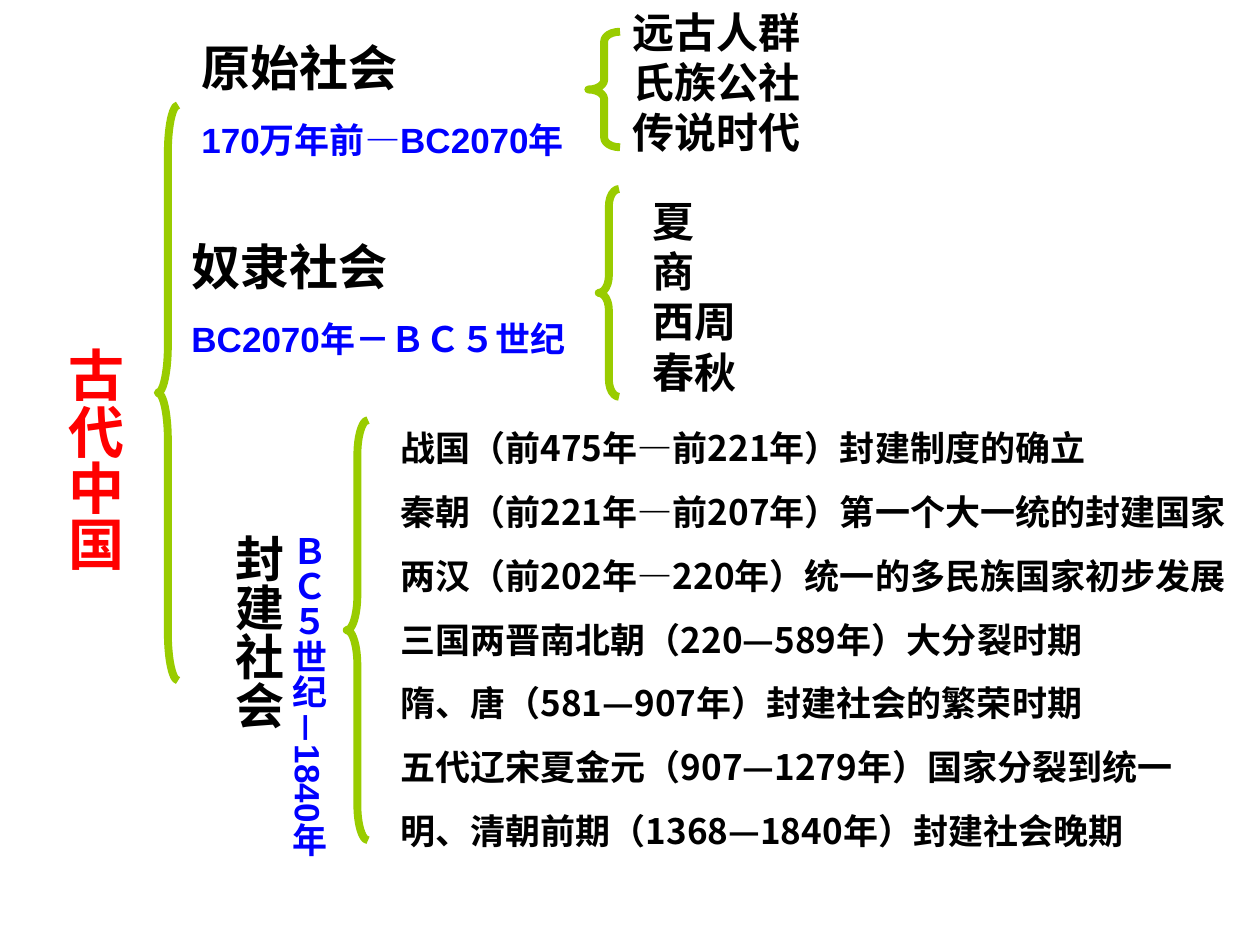
from pptx import Presentation
from pptx.dml.color import RGBColor
from pptx.enum import shapes, text
from pptx.oxml import ns
from pptx.util import Cm, Pt
from lxml import etree

HUES = {"ink": "000000", "date": "0000FF", "root": "FF0000", "brace": "99CC00"}
HEI = "Noto Sans CJK SC"
LATIN = "Arial"

deck = Presentation()
deck.slide_width, deck.slide_height = Cm(25.4), Cm(19.05)
slide = deck.slides.add_slide(deck.slide_layouts[6])


def write(frame, line, first=False, size=20, font=HEI, hue="ink", gap=0):
    """Add one bold paragraph; gap is the space before it in points."""
    par = frame.paragraphs[0] if first else frame.add_paragraph()
    par.space_before = Pt(0 if first else gap)
    run = par.add_run()
    run.text = line
    run.font.size, run.font.bold, run.font.name = Pt(size), True, font
    run.font.color.rgb = RGBColor.from_string(HUES[hue])
    east = etree.SubElement(run._r.get_or_add_rPr(), ns.qn("a:ea"))
    east.set("typeface", HEI)


def add_box(left, top, width, height, drop=None):
    """Add a text box; drop is the top inset that makes its text vertical."""
    box = slide.shapes.add_textbox(Cm(left), Cm(top), Cm(width), Cm(height))
    frame = box.text_frame
    frame.word_wrap = True
    if drop is not None:
        frame._txBody.bodyPr.set("vert", "eaVert")
        frame.margin_left = frame.margin_right = Cm(0.13)
        frame.margin_top, frame.margin_bottom = Cm(drop), Cm(0.25)
    return frame


# Early societies with their dates
eras = [
    (3.81, 0.64, 8.46, "原始社会", "170万年前—BC2070年"),
    (3.61, 4.65, 8.89, "奴隶社会", "BC2070年－ＢＣ５世纪"),
]
for left, top, width, name, date in eras:
    frame = add_box(left, top, width, 2.74)
    write(frame, name, first=True, size=28)
    write(frame, date, font=LATIN, hue="date", gap=12.5)

# Braces: the curved ends take a twelfth of the height
braces = [
    (11.86, 0.64, 0.64, 2.33),
    (12.07, 3.81, 0.41, 4.19),
    (6.99, 8.47, 0.43, 8.47),
    (3.18, 2.12, 0.41, 11.6),
]
for left, top, width, height in braces:
    brace = slide.shapes.add_shape(shapes.MSO_SHAPE.LEFT_BRACE,
                                   Cm(left), Cm(top), Cm(width), Cm(height))
    brace.adjustments[0] = height / 12 / width
    brace.shadow.inherit = False
    brace.fill.background()
    brace.line.color.rgb = RGBColor.from_string(HUES["brace"])
    brace.line.width = Pt(4.5)

# Stages of each society
stages = [
    ((12.9, 3.81, 6.81, 5.33), 24, 0, ["夏", "商", "西周", "春秋"]),
    ((12.5, 0, 8.99, 3.3), 24, 0, ["远古人群", "氏族公社", "传说时代"]),
    ((7.82, 8.47, 18.21, 8.84), 20, 12.5, [
        "战国（前475年—前221年）封建制度的确立",
        "秦朝（前221年—前207年）第一个大一统的封建国家",
        "两汉（前202年—220年）统一的多民族国家初步发展",
        "三国两晋南北朝（220—589年）大分裂时期",
        "隋、唐（581—907年）封建社会的繁荣时期",
        "五代辽宋夏金元（907—1279年）国家分裂到统一",
        "明、清朝前期（1368—1840年）封建社会晚期",
    ]),
]
for place, size, gap, lines in stages:
    frame = add_box(*place)
    for i, line in enumerate(lines):
        write(frame, line, first=i == 0, size=size, gap=gap)

# Vertical headings
root = add_box(0.86, 5.08, 1.85, 8.38, drop=1.93)
write(root, "古代中国", first=True, size=32, font=LATIN, hue="root")

feudal = add_box(4.24, 9.96, 2.54, 8.46, drop=0.81)
write(feudal, "ＢＣ５世纪－1840年", first=True, font=LATIN, hue="date")
write(feudal, "封建社会", size=28, font=LATIN)

deck.save("out.pptx")
